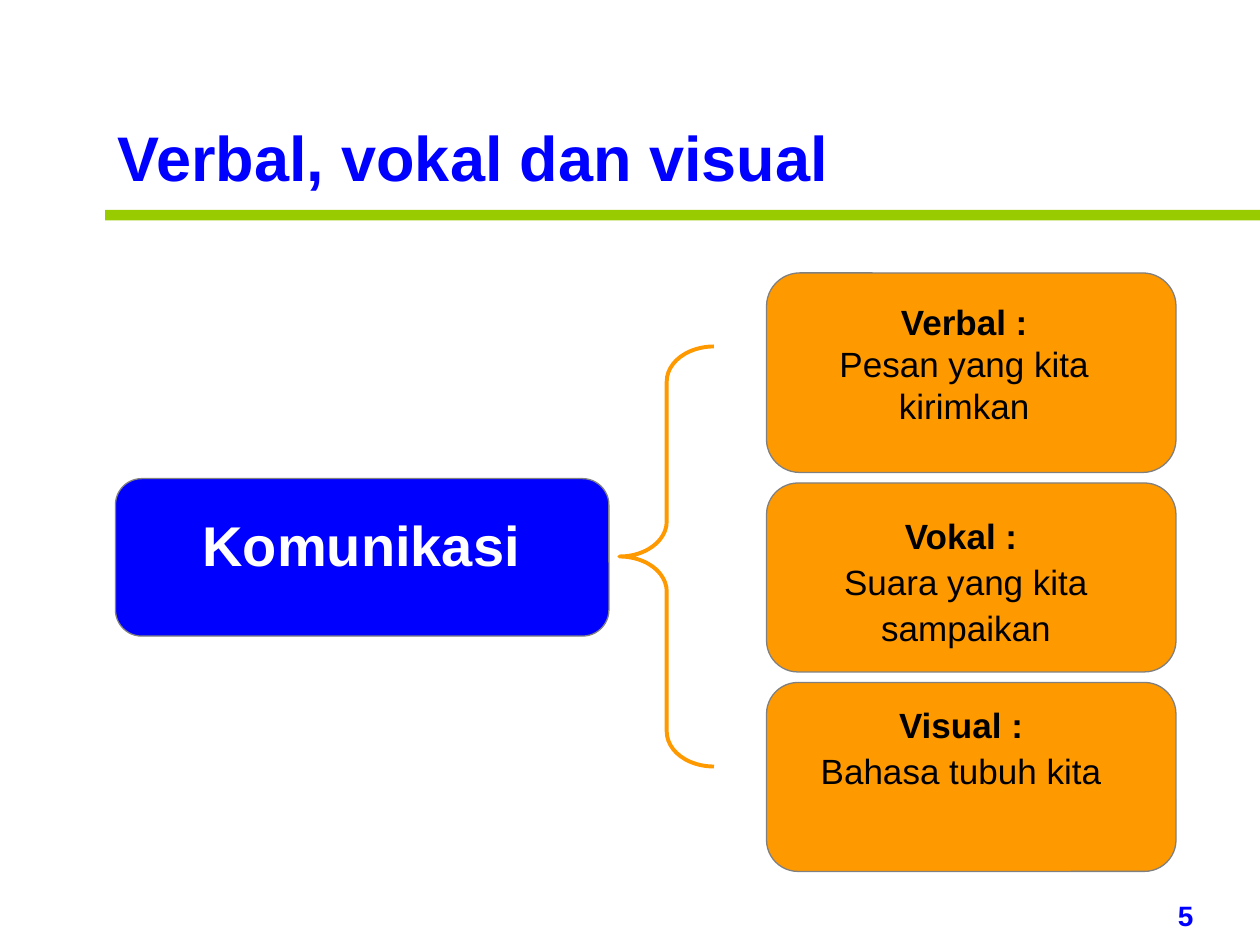
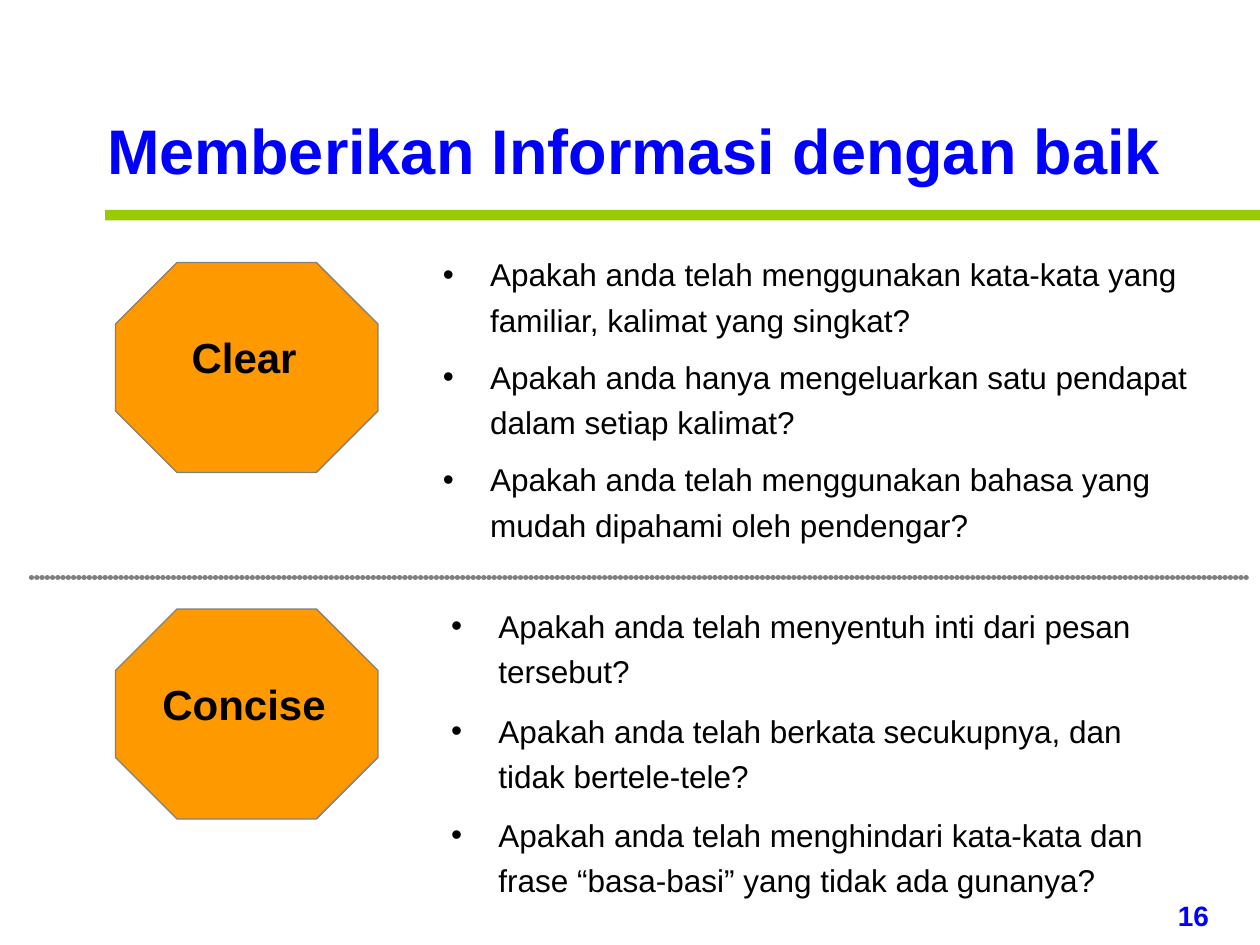
"""Build two slides on verbal, vocal and visual communication and on clear information."""
from lxml import etree
from pptx import Presentation
from pptx.dml.color import RGBColor
from pptx.enum.shapes import MSO_CONNECTOR, MSO_SHAPE
from pptx.enum.text import MSO_ANCHOR, MSO_AUTO_SIZE, PP_ALIGN
from pptx.oxml.ns import qn
from pptx.util import Pt

COMMUNICATION = {
    "title": "Verbal, vokal dan visual", "title_box": (60, 64, 440, 50.5),
    "number": "5", "hub": "Komunikasi",
}
CHANNELS = [
    {"heading": "Verbal :", "detail": "Pesan yang kita kirimkan",
     "height": 114, "text_box": (450, 168, 202, 79), "spacing": 1},
    {"heading": "Vokal : ", "detail": "Suara yang kita sampaikan",
     "height": 108, "text_box": (444, 288, 216, 86.5), "spacing": 1.1},
    {"heading": "Visual : ", "detail": "Bahasa tubuh kita ",
     "height": 108, "text_box": (444, 396, 216, 60.5), "spacing": 1.1},
]
INFORMATION = {
    "title": "Memberikan Informasi dengan baik",
    "title_box": (54, 60, 640, 50.5), "number": "16",
}
PRINCIPLES = [
    {"name": "Clear", "text_box": (246, 138, 450, 176.5), "gap": 6.8, "questions": [
        "Apakah anda telah menggunakan kata-kata yang familiar, kalimat yang singkat?",
        "Apakah anda hanya mengeluarkan satu pendapat dalam setiap kalimat?",
        "Apakah anda telah menggunakan bahasa yang mudah dipahami oleh pendengar?"]},
    {"name": "Concise", "text_box": (250.75, 339, 433.5, 178.5), "gap": 7.9, "questions": [
        "Apakah anda telah menyentuh inti dari pesan tersebut?",
        "Apakah anda telah berkata secukupnya, dan tidak bertele-tele?",
        "Apakah anda telah menghindari kata-kata dan frase “basa-basi” yang tidak ada gunanya?"]},
]

FONT = "Arial"
BLUE = RGBColor(0x00, 0x00, 0xFF)
GREEN = RGBColor(0x99, 0xCC, 0x00)
ORANGE = RGBColor(0xFF, 0x99, 0x00)
GRAY = RGBColor(0x80, 0x80, 0x80)
BLACK = RGBColor(0x00, 0x00, 0x00)
WHITE = RGBColor(0xFF, 0xFF, 0xFF)
LEFT, CENTER = PP_ALIGN.LEFT, PP_ALIGN.CENTER
ROUNDED, OCTAGON = MSO_SHAPE.ROUNDED_RECTANGLE, MSO_SHAPE.OCTAGON
RECTANGLE, LEFT_BRACE = MSO_SHAPE.RECTANGLE, MSO_SHAPE.LEFT_BRACE
STRAIGHT = MSO_CONNECTOR.STRAIGHT
TOP = MSO_ANCHOR.TOP
FIXED = MSO_AUTO_SIZE.NONE

CHANNEL_TOP, CHANNEL_GAP = 156, 6
PRINCIPLE_TOP, PRINCIPLE_STEP = 150, 198
OCTAGON_SIZE = (150, 120)
BULLET_INDENT = Pt(27)


def points(box):
    return [Pt(length) for length in box]


def add_figure(slide, kind, box, fill=None, line=None, width=0.75, adjustments=()):
    shape = slide.shapes.add_shape(kind, *points(box))
    shape.shadow.inherit = False
    if fill is None:
        shape.fill.background()
    else:
        shape.fill.solid()
        shape.fill.fore_color.rgb = fill
    if line is None:
        shape.line.fill.background()
    else:
        shape.line.color.rgb = line
        shape.line.width = Pt(width)
    for index, value in enumerate(adjustments):
        shape.adjustments[index] = value


def write(paragraph, text, size, color, bold=False, align=LEFT, spacing=1, before=0):
    paragraph.alignment = align
    paragraph.line_spacing = spacing
    paragraph.space_before = Pt(before)
    run = paragraph.add_run()
    run.text = text
    run.font.name = FONT
    run.font.size = Pt(size)
    run.font.bold = bold
    run.font.color.rgb = color


def add_text(slide, box, lines, bulleted=False, before=0, **style):
    frame = slide.shapes.add_textbox(*points(box)).text_frame
    frame.word_wrap = True
    for index, (text, bold) in enumerate(lines):
        paragraph = frame.add_paragraph() if index else frame.paragraphs[0]
        if bulleted:
            add_bullet(paragraph)
        write(paragraph, text, bold=bold, before=before if index else 0, **style)


def add_bullet(paragraph):
    properties = paragraph._p.get_or_add_pPr()
    properties.set("marL", str(BULLET_INDENT))
    properties.set("indent", str(-BULLET_INDENT))
    etree.SubElement(properties, qn("a:buFont"), typeface=FONT)
    etree.SubElement(properties, qn("a:buChar"), char="•")


def add_dotted_rule(slide, left, right, top):
    rule = slide.shapes.add_connector(STRAIGHT, Pt(left), Pt(top), Pt(right), Pt(top))
    rule.line.color.rgb = GRAY
    rule.line.width = Pt(3)
    line = rule.line._ln
    line.set("cap", "rnd")
    dashes = etree.SubElement(line, qn("a:custDash"))
    etree.SubElement(dashes, qn("a:ds"), d="1000", sp="99000")
    etree.SubElement(rule._element.spPr, qn("a:effectLst"))


def add_base_slide(presentation, content):
    slide = presentation.slides.add_slide(presentation.slide_layouts[5])
    title = slide.shapes.title
    title.left, title.top, title.width, title.height = points(content["title_box"])
    frame = title.text_frame
    frame.word_wrap = True
    frame.auto_size = FIXED
    frame.vertical_anchor = TOP
    write(frame.paragraphs[0], content["title"], 36, BLUE, bold=True)
    add_figure(slide, RECTANGLE, (60, 120, 660, 6), GREEN)
    add_text(slide, (666, 510, 48, 26.5), [(content["number"], True)], size=16, color=BLUE)
    return slide


def build_communication(presentation):
    slide = add_base_slide(presentation, COMMUNICATION)
    add_figure(slide, ROUNDED, (66, 273.5, 282, 90), BLUE, GRAY, adjustments=[0.167])
    add_text(slide, (70.75, 288, 271.5, 46), [(COMMUNICATION["hub"], True)],
             size=32, color=WHITE, align=CENTER)
    add_figure(slide, LEFT_BRACE, (354, 198, 54, 240), line=ORANGE, width=2.25,
               adjustments=[0.37, 0.5])
    top = CHANNEL_TOP
    for channel in CHANNELS:
        add_figure(slide, ROUNDED, (438, top, 234, channel["height"]), ORANGE, GRAY,
                   adjustments=[0.167])
        add_text(slide, channel["text_box"],
                 [(channel["heading"], True), (channel["detail"], False)],
                 size=20, color=BLACK, align=CENTER, spacing=channel["spacing"])
        top += channel["height"] + CHANNEL_GAP


def build_information(presentation):
    slide = add_base_slide(presentation, INFORMATION)
    for index, principle in enumerate(PRINCIPLES):
        top = PRINCIPLE_TOP + index * PRINCIPLE_STEP
        add_figure(slide, OCTAGON, (66, top, *OCTAGON_SIZE), ORANGE, GRAY,
                   adjustments=[0.293])
        add_text(slide, (64.5, top + 36, OCTAGON_SIZE[0], 36), [(principle["name"], True)],
                 size=24, color=BLACK, align=CENTER)
        add_text(slide, principle["text_box"],
                 [(question, False) for question in principle["questions"]],
                 bulleted=True, before=principle["gap"], size=18, color=BLACK, spacing=1.2)
    add_dotted_rule(slide, 18, 714, 330)


def main():
    presentation = Presentation()
    presentation.slide_width, presentation.slide_height = Pt(720), Pt(540)
    build_communication(presentation)
    build_information(presentation)
    presentation.save("out.pptx")


if __name__ == "__main__":
    main()
